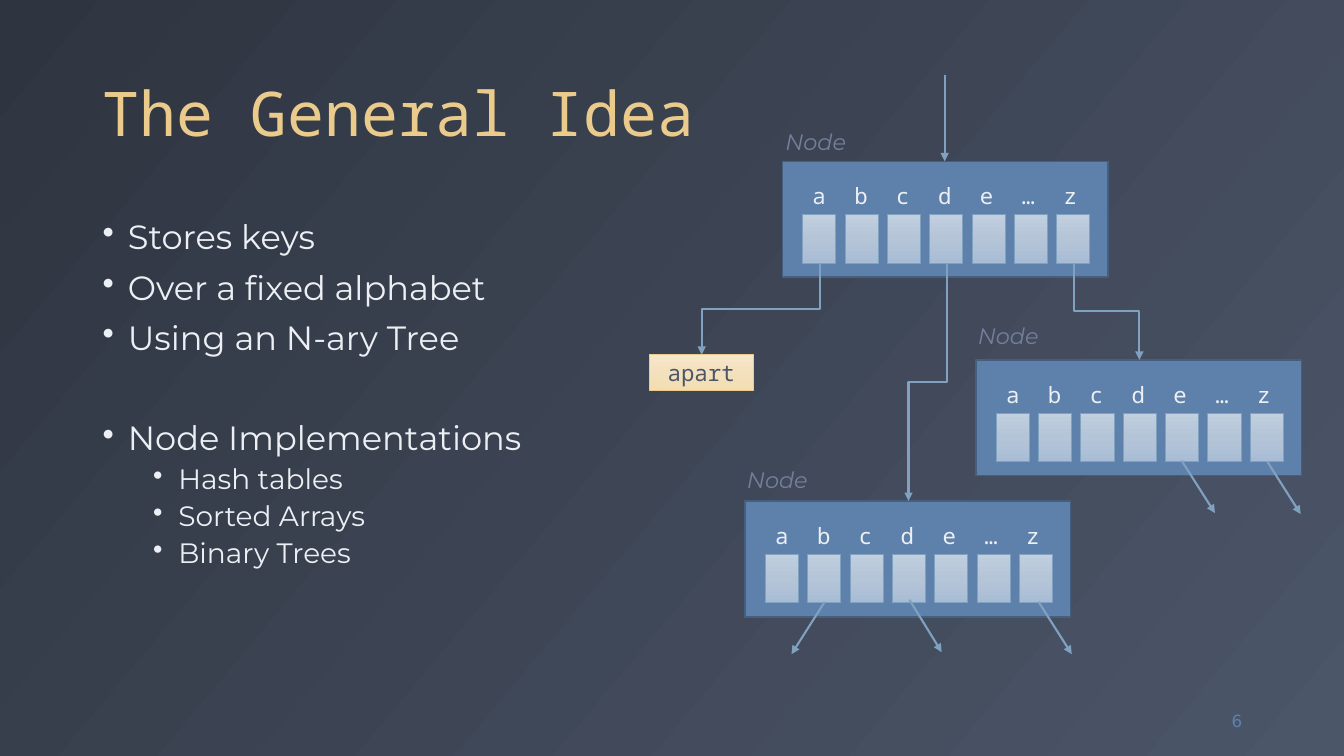
from copy import deepcopy
from dataclasses import dataclass

from pptx import Presentation
from pptx.dml.color import RGBColor
from pptx.enum.shapes import MSO_CONNECTOR as LINK, MSO_SHAPE as SHAPE
from pptx.enum.text import MSO_ANCHOR as ANCHOR, MSO_AUTO_SIZE as AUTO, PP_ALIGN as ALIGN
from pptx.oxml.ns import qn
from pptx.oxml.xmlchemy import OxmlElement
from pptx.util import Inches, Pt


@dataclass(frozen=True)
class Theme:
    mono: str = "Noto Sans Mono"
    sans: str = "Montserrat"
    number_font: str = "DejaVu Sans"
    backdrop: tuple = ("2E3440", "4C5669")
    cell: tuple = ("C1CFDF", "B4C5D8", "A8BDD5")
    key: tuple = ("F7E7CB", "F3E0BC", "F4DDB1")
    gold: str = "EBCB8B"
    light: str = "ECEFF3"
    dark: str = "4C5669"
    muted: str = "73809B"
    node: str = "5E81AC"
    node_edge: str = "465F7F"
    link: str = "81A1C1"
    title_size: int = 44
    body_size: int = 24
    sub_size: int = 20
    label_size: int = 16
    number_size: int = 12


T = Theme()
LETTERS = "abcde…z"
CELL_STEP, CELL_W, CELL_H = 0.42, 0.33, 0.48
LETTER_STEP = 0.415
NODE_W, NODE_H = 3.23, 1.15

BULLETS = [  # text, level, space before
    ("Stores keys", 0, 0),
    ("Over a fixed alphabet", 0, 10),
    ("Using an N-ary Tree", 0, 10),
    ("Node Implementations", 0, 46),
    ("Hash tables", 1, 5),
    ("Sorted Arrays", 1, 5),
    ("Binary Trees", 1, 5),
]
NODES = [(7.76, 1.6), (9.68, 3.57), (7.39, 4.97)]
NODE_LABELS = [(7.69, 1.22), (9.6, 3.15), (7.31, 4.58)]
ELBOWS = [
    ((8.13, 2.61), (6.96, 3.52)),
    ((10.65, 2.61), (11.3, 3.57)),
    ((9.39, 2.61), (9.01, 4.97)),
]
ARROWS = [
    ((9.37, 0.74), (9.37, 1.6)),
    ((12.57, 4.58), (12.9, 5.1)),
    ((9.02, 5.95), (9.34, 6.47)),
    ((10.3, 5.97), (10.63, 6.49)),
    ((11.72, 4.57), (12.05, 5.09)),
    ((8.18, 5.97), (7.85, 6.49)),
]


def rgb(colour):
    return RGBColor.from_string(colour)


def box(*lengths):
    return [Inches(n) for n in lengths]


def add_run(p, text, size, font, colour, italic=None):
    r = p.add_run()
    r.text = text
    r.font.size, r.font.name, r.font.italic = Pt(size), font, italic
    r.font.color.rgb = rgb(colour)


def set_gradient(owner, fill, colours, angle):
    """Spread the colours evenly; the angle is clockwise in degrees."""
    fill.gradient()
    fill.gradient_angle = 360 - angle
    stops = next(owner._element.iter(qn("a:gsLst")))
    while len(stops) < len(colours):
        stops.append(deepcopy(stops[0]))
    for i, (stop, colour) in enumerate(zip(fill.gradient_stops, colours)):
        stop.position = i / (len(colours) - 1)
        stop.color.rgb = rgb(colour)


def add_rect(s, at, fill, edge, width):
    """A tuple of fill colours gives a gradient from top to bottom."""
    sp = s.shapes.add_shape(SHAPE.RECTANGLE, *box(*at))
    sp.shadow.inherit = False
    if isinstance(fill, tuple):
        set_gradient(sp, sp.fill, fill, 90)
    else:
        sp.fill.solid()
        sp.fill.fore_color.rgb = rgb(fill)
    sp.line.color.rgb = rgb(edge)
    sp.line.width = Pt(width)
    return sp


def add_label(s, at, text, font, colour, align=ALIGN.LEFT, italic=None):
    tf = s.shapes.add_textbox(*box(*at)).text_frame
    tf.word_wrap = False
    tf.auto_size = AUTO.SHAPE_TO_FIT_TEXT
    p = tf.paragraphs[0]
    p.alignment = align
    add_run(p, text, T.label_size, font, colour, italic)


def add_node(s, left, top):
    add_rect(s, (left, top, NODE_W, NODE_H), T.node, T.node_edge, 1)
    for i in range(len(LETTERS)):
        at = (left + 0.2 + i * CELL_STEP, top + 0.53, CELL_W, CELL_H)
        add_rect(s, at, T.cell, T.link, 0.5)
    for i, letter in enumerate(LETTERS):
        at = (left + 0.2 + i * LETTER_STEP, top + 0.16, 0.32, 0.37)
        add_label(s, at, letter, T.mono, T.light, ALIGN.CENTER)


def add_arrow(s, start, end, kind=LINK.STRAIGHT):
    c = s.shapes.add_connector(kind, *box(*start, *end))
    c.line.color.rgb = rgb(T.link)
    c.line.width = Pt(1.5)
    tail = OxmlElement("a:tailEnd")
    tail.set("type", "triangle")
    c.line._get_or_add_ln().append(tail)
    c._element.spPr.append(OxmlElement("a:effectLst"))
    return c


def add_elbow(s, start, end):
    """Arrow that leaves downwards, crosses halfway and arrives downwards."""
    (x1, y1), (x2, y2) = start, end
    mid_x, mid_y = (x1 + x2) / 2, (y1 + y2) / 2
    half_w, half_h = (y2 - y1) / 2, abs(x2 - x1) / 2
    c = add_arrow(s, (mid_x - half_w, mid_y - half_h),
                  (mid_x + half_w, mid_y + half_h), LINK.ELBOW)
    c.rotation = 0 if not hasattr(c, "rotation") else c.rotation
    xfrm = c._element.spPr.find(qn("a:xfrm"))
    xfrm.set("rot", str((90 if x2 < x1 else 270) * 60000))
    if x2 > x1:
        xfrm.set("flipH", "1")


def add_title(s, text):
    title = s.shapes.title
    title.left, title.top, title.width, title.height = box(0.92, 0.18, 11.5, 1.36)
    tf = title.text_frame
    tf.word_wrap, tf.auto_size, tf.vertical_anchor = True, AUTO.NONE, ANCHOR.BOTTOM
    p = tf.paragraphs[0]
    p.alignment, p.line_spacing = ALIGN.LEFT, 0.9
    add_run(p, text, T.title_size, T.mono, T.gold)


def add_bullets(s):
    tf = s.shapes.add_textbox(*box(0.92, 2.14, 5.34, 4.62)).text_frame
    tf.word_wrap = True
    for i, (text, level, before) in enumerate(BULLETS):
        p = tf.add_paragraph() if i else tf.paragraphs[0]
        pPr = p._p.get_or_add_pPr()
        pPr.set("marL", str(Inches(0.25 + 0.5 * level)))
        pPr.set("indent", str(Inches(-0.25)))
        bullet = OxmlElement("a:buChar")
        bullet.set("char", "•")
        pPr.append(bullet)
        p.level, p.line_spacing, p.space_before = level, 0.9, Pt(before)
        add_run(p, text, T.sub_size if level else T.body_size, T.sans, T.light)


def add_slide_number(s, number):
    tf = s.shapes.add_textbox(*box(11.59, 6.95, 0.83, 0.4)).text_frame
    tf.word_wrap, tf.vertical_anchor = True, ANCHOR.MIDDLE
    p = tf.paragraphs[0]
    p.alignment = ALIGN.RIGHT
    add_run(p, number, T.number_size, T.number_font, T.node)


def add_key(s, at, text):
    tf = add_rect(s, at, T.key, T.gold, 0.5).text_frame
    tf.vertical_anchor = ANCHOR.MIDDLE
    p = tf.paragraphs[0]
    p.alignment = ALIGN.CENTER
    add_run(p, text, T.label_size, T.mono, T.dark)


def main():
    prs = Presentation()
    prs.slide_width, prs.slide_height = box(13.33, 7.5)
    s = prs.slides.add_slide(prs.slide_layouts[5])
    set_gradient(s, s.background.fill, T.backdrop, 40)
    add_title(s, "The General Idea")
    add_bullets(s)
    add_slide_number(s, "6")
    for left, top in NODES:
        add_node(s, left, top)
    add_key(s, (6.44, 3.52, 1.03, 0.35), "apart")
    for start, end in ELBOWS:
        add_elbow(s, start, end)
    for start, end in ARROWS:
        add_arrow(s, start, end)
    for left, top in NODE_LABELS:
        add_label(s, (left, top, 0.81, 0.37), "Node", T.sans, T.muted, italic=True)
    prs.save("out.pptx")


if __name__ == "__main__":
    main()
